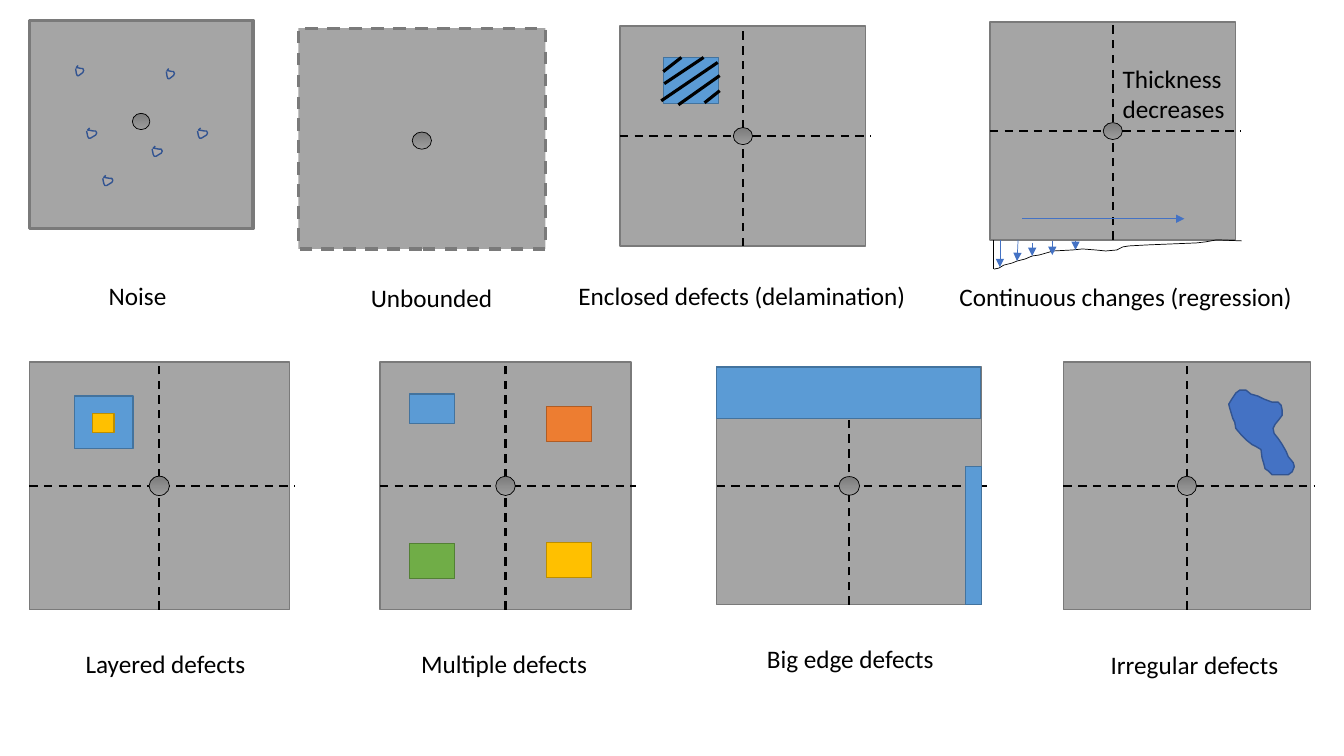
from lxml import etree
from pptx import Presentation
from pptx.dml.color import RGBColor
from pptx.enum.dml import MSO_LINE
from pptx.enum.shapes import MSO_CONNECTOR, MSO_SHAPE
from pptx.oxml.ns import qn
from pptx.util import Inches, Pt

BLACK = RGBColor(0x00, 0x00, 0x00)
SPECK_GREY = RGBColor(0xAF, 0xAB, 0xAB)
ARROW_BLUE = RGBColor(0x44, 0x72, 0xC4)
BLOB_EDGE = RGBColor(0x32, 0x54, 0x91)
HUB_LIGHT = RGBColor(0x9D, 0x9D, 0x9D)
HUB_DARK = RGBColor(0x7C, 0x7C, 0x7C)
# Fill and border pairs
PLATE = RGBColor(0xA5, 0xA5, 0xA5), RGBColor(0x7A, 0x7A, 0x7A)
BLUE = RGBColor(0x5B, 0x9B, 0xD5), RGBColor(0x43, 0x73, 0x9E)
ORANGE = RGBColor(0xED, 0x7D, 0x31), RGBColor(0xAF, 0x5C, 0x24)
GOLD = RGBColor(0xFF, 0xC0, 0x00), RGBColor(0xBD, 0x8E, 0x00)
GREEN = RGBColor(0x70, 0xAD, 0x47), RGBColor(0x53, 0x80, 0x35)


class Sketch:
    """Holds the style and the slide; lengths are columns and rows of a square grid."""

    FONT, TEXT_SIZE = "Calibri", Pt(18)
    COLUMNS, ROWS = 40 / 3, 7.5
    OVERSHOOT = 0.05
    HUB_SHARE = 0.078

    def __init__(self, prs):
        self.slide = prs.slides.add_slide(prs.slide_layouts[6])
        self.shapes = self.slide.shapes
        self.column = prs.slide_width / self.COLUMNS
        self.row = prs.slide_height / self.ROWS

    def point(self, x, y):
        return round(x * self.column), round(y * self.row)

    def outline(self, shape, color, width, dashed=False):
        shape.line.color.rgb = color
        shape.line.width = Pt(width)
        if dashed:
            shape.line.dash_style = MSO_LINE.DASH

    def box(self, x, y, w, h, colors, width=1, dashed=False, kind=MSO_SHAPE.RECTANGLE):
        shape = self.shapes.add_shape(kind, *self.point(x, y), *self.point(w, h))
        shape.shadow.inherit = False
        shape.fill.solid()
        shape.fill.fore_color.rgb = colors[0]
        self.outline(shape, colors[1], width, dashed)
        return shape

    def line(self, start, end, color=BLACK, width=0.5, dashed=False, arrow=False):
        link = self.shapes.add_connector(
            MSO_CONNECTOR.STRAIGHT, *self.point(*start), *self.point(*end))
        self.outline(link, color, width, dashed)
        if arrow:
            etree.SubElement(link.line._get_or_add_ln(), qn("a:tailEnd"), type="triangle")
        etree.SubElement(link._element.spPr, qn("a:effectLst"))

    def outline_shape(self, points, color, width, fill=None, closed=False):
        first, *rest = [self.point(*p) for p in points]
        builder = self.shapes.build_freeform(*first)
        builder.add_line_segments(rest, close=closed)
        shape = builder.convert_to_shape()
        shape.shadow.inherit = False
        if fill is None:
            shape.fill.background()
        else:
            shape.fill.solid()
            shape.fill.fore_color.rgb = fill
        self.outline(shape, color, width)

    def text(self, x, y, w, words, h=0.4):
        frame = self.shapes.add_textbox(*self.point(x, y), *self.point(w, h)).text_frame
        frame.word_wrap = True
        run = frame.paragraphs[0].add_run()
        run.text = words
        run.font.name, run.font.size = self.FONT, self.TEXT_SIZE
        run.font.color.rgb = BLACK

    def hub(self, cx, cy, w, h):
        hub = self.box(cx - w / 2, cy - h / 2, w, h, (HUB_LIGHT, BLACK), 0.5,
                       kind=MSO_SHAPE.OVAL)
        hub.rotation = 180
        hub.fill.gradient()
        hub.fill.gradient_angle = 270
        for stop, color in zip(hub.fill.gradient_stops, (HUB_LIGHT, HUB_DARK)):
            stop.color.rgb = color

    def plate(self, x, y, w, h, cross=True, width=1, dashed=False, lift=0):
        self.box(x, y, w, h, PLATE, width, dashed)
        cx, cy = x + w / 2, y + h / 2 - lift
        if cross:
            self.line((cx, y + h), (cx, y), width=1.5, dashed=True)
            self.line((x, cy), (x + w + self.OVERSHOOT, cy), width=1.5, dashed=True)
        self.hub(cx, cy, w * self.HUB_SHARE, h * self.HUB_SHARE)


prs = Presentation()
prs.slide_width, prs.slide_height = Inches(40 / 3), Inches(7.5)
sketch = Sketch(prs)

# Noise: small specks around the hub
sketch.plate(0.29, 0.2, 2.22, 2.07, cross=False, width=2.25, lift=0.03)
SPECK = [(0, .03), (.01, .08), (.02, .1), (.04, .1), (.09, .07), (.1, .05),
         (.09, .03), (.07, .03), (.01, .02), (.03, 0)]
for x, y, stretch in [(0.75, 0.65, 0.8), (1.65, 0.68, 0.8), (0.86, 1.27, 1),
                      (1.02, 1.74, 1), (1.51, 1.45, 1), (1.96, 1.27, 1)]:
    sketch.outline_shape([(x + dx * stretch, y + dy) for dx, dy in SPECK],
                         BLOB_EDGE, 1, SPECK_GREY)

# Unbounded: dashed border
sketch.plate(2.96, 0.28, 2.45, 2.19, cross=False, width=2.25, dashed=True, lift=-0.02)

# Enclosed defects: hatched patch
sketch.plate(6.15, 0.26, 2.44, 2.18)
sketch.box(6.58, 0.57, 0.55, 0.46, BLUE)
for start, end in [((6.58, 0.71), (6.76, 0.57)), ((6.59, 0.83), (6.98, 0.57)),
                   ((6.56, 1), (7.12, 0.62)), ((6.73, 1.04), (7.14, 0.75)),
                   ((6.99, 1.02), (7.14, 0.9))]:
    sketch.line(start, end, width=2.25)

# Continuous changes: thickness profile under the plate
sketch.plate(9.82, 0.22, 2.44, 2.16)
PROFILE = [(9.86, 2.67), (9.91, 2.66), (9.96, 2.63), (10.04, 2.61), (10.09, 2.59),
           (10.17, 2.57), (10.24, 2.54), (10.31, 2.53), (10.38, 2.51), (10.45, 2.49),
           (10.64, 2.48), (10.74, 2.47), (10.87, 2.48), (10.97, 2.49), (11.08, 2.48),
           (11.14, 2.45), (11.2, 2.44), (11.38, 2.43), (11.87, 2.41), (11.96, 2.4),
           (12.07, 2.38), (12.32, 2.39)]
sketch.outline_shape(PROFILE, BLACK, 0.5)
sketch.line((9.85, 2.38), (9.85, 2.67))
for start, end in [((10.1, 2.38), (10.09, 2.59)), ((9.92, 2.38), (9.92, 2.65)),
                   ((10.24, 2.41), (10.24, 2.54)), ((10.44, 2.39), (10.44, 2.53)),
                   ((10.67, 2.39), (10.67, 2.48)), ((10.14, 2.17), (11.75, 2.17))]:
    sketch.line(start, end, ARROW_BLUE, arrow=True)
sketch.text(11.04, 0.58, 1.54, "Thickness decreases", h=0.64)

# Layered defects: one patch inside another
sketch.plate(0.29, 3.59, 2.58, 2.46)
sketch.box(0.74, 3.93, 0.58, 0.52, BLUE)
sketch.box(0.92, 4.1, 0.21, 0.19, GOLD)

# Multiple defects: a patch in each quarter
sketch.plate(3.77, 3.59, 2.49, 2.46)
for x, y, h, colors in [(4.06, 3.91, 0.29, BLUE), (5.42, 4.03, 0.35, ORANGE),
                        (5.42, 5.38, 0.35, GOLD), (4.06, 5.39, 0.35, GREEN)]:
    sketch.box(x, y, 0.45, h, colors)

# Big edge defects: bands along the top and right edges
sketch.plate(7.11, 3.64, 2.63, 2.36)
sketch.box(7.11, 3.64, 2.62, 0.51, BLUE)
sketch.box(9.58, 4.63, 0.16, 1.37, BLUE)

# Irregular defects: a blob
sketch.plate(10.55, 3.59, 2.45, 2.46)
BLOB = [(12.19, 4.01), (12.22, 3.96), (12.26, 3.9), (12.3, 3.87), (12.36, 3.87),
        (12.41, 3.91), (12.48, 3.93), (12.54, 3.96), (12.62, 3.99), (12.68, 3.99),
        (12.71, 4.02), (12.72, 4.07), (12.72, 4.12), (12.69, 4.16), (12.65, 4.21),
        (12.63, 4.25), (12.64, 4.3), (12.68, 4.35), (12.72, 4.41), (12.76, 4.48),
        (12.78, 4.53), (12.83, 4.59), (12.84, 4.63), (12.82, 4.68), (12.78, 4.71),
        (12.71, 4.71), (12.62, 4.71), (12.58, 4.67), (12.55, 4.65), (12.54, 4.61),
        (12.52, 4.54), (12.51, 4.46), (12.46, 4.43), (12.42, 4.41), (12.37, 4.37),
        (12.31, 4.31), (12.26, 4.25), (12.25, 4.19), (12.23, 4.15), (12.2, 4.05)]
sketch.outline_shape(BLOB, BLOB_EDGE, 1, ARROW_BLUE, closed=True)

# Captions
for x, y, w, words in [
        (0.98, 2.73, 0.83, "Noise"), (3.58, 2.75, 1.45, "Unbounded"),
        (5.64, 2.73, 3.5, "Enclosed defects (delamination)"),
        (9.42, 2.74, 3.65, "Continuous changes (regression)"),
        (0.75, 6.38, 1.91, "Layered defects"), (4.08, 6.38, 1.91, "Multiple defects"),
        (7.51, 6.33, 1.91, "Big edge defects"), (10.92, 6.39, 1.91, "Irregular defects")]:
    sketch.text(x, y, w, words)

prs.save("out.pptx")
